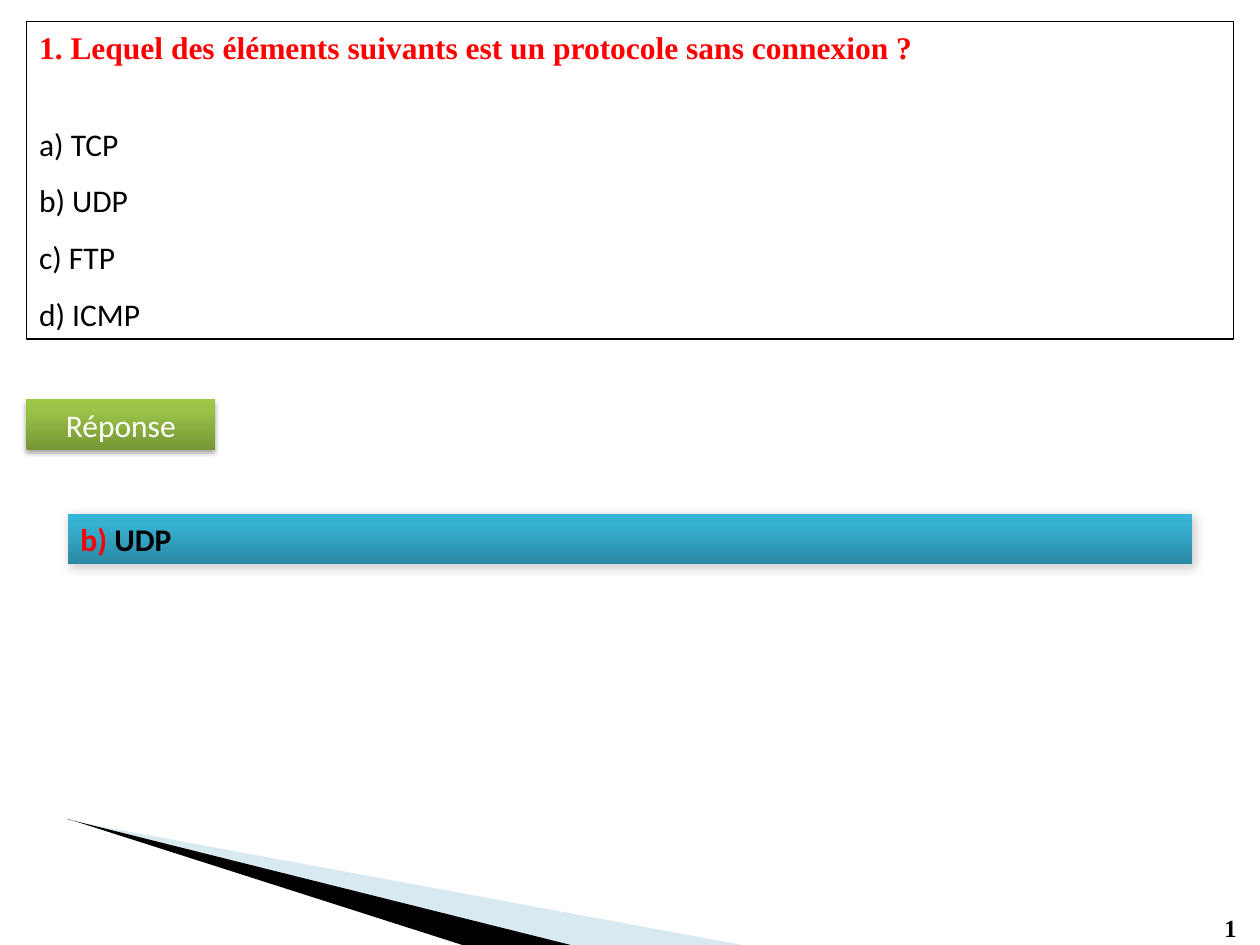
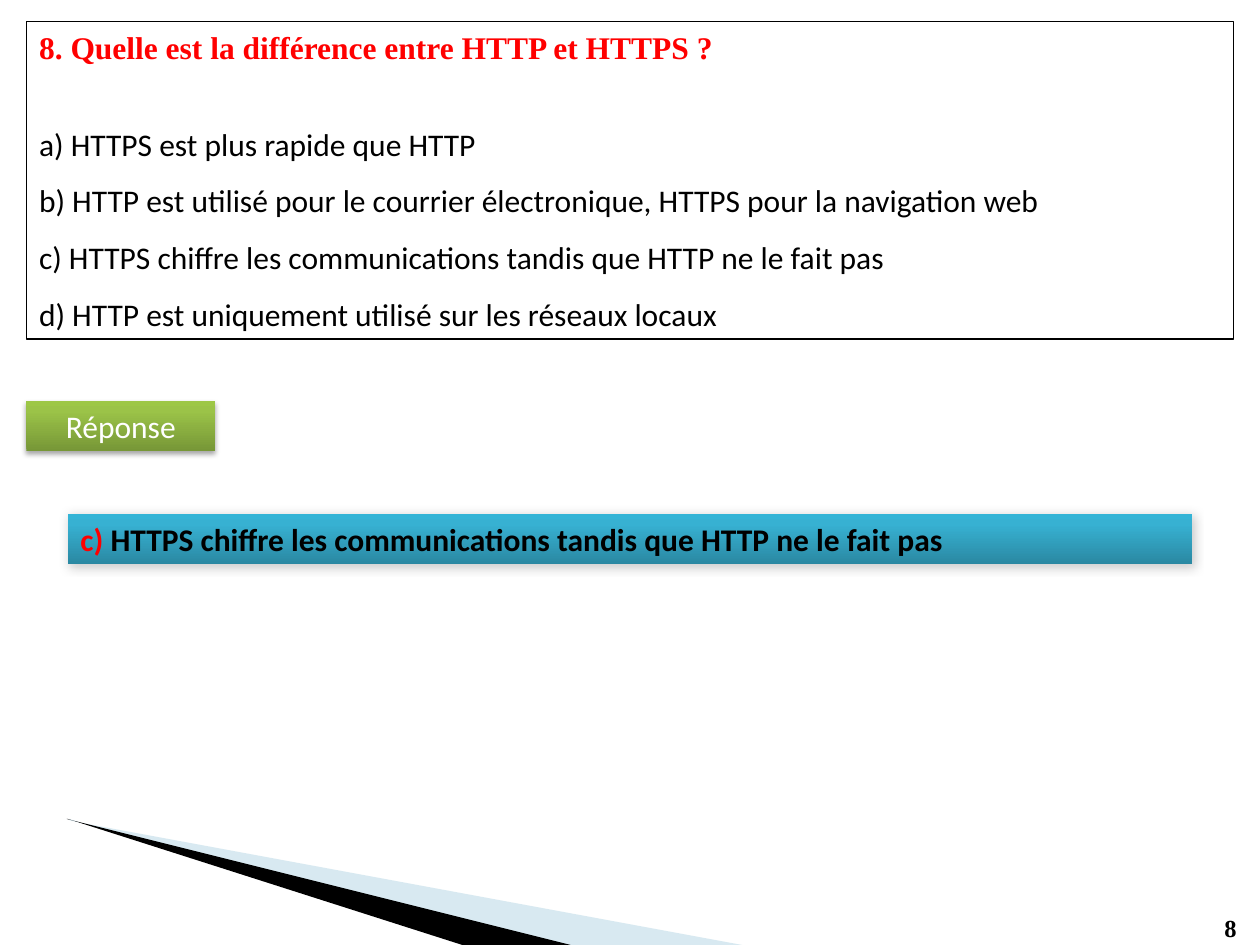
from pptx import Presentation
from pptx.dml.color import RGBColor
from pptx.enum.shapes import MSO_SHAPE as Preset
from pptx.enum.text import MSO_ANCHOR as Anchor, MSO_AUTO_SIZE as AutoSize, PP_ALIGN as Align
from pptx.oxml import parse_xml
from pptx.oxml.ns import nsdecls, qn
from pptx.util import Inches, Pt
from lxml.etree import SubElement

COLORS = {"text": "000000", "accent": "FF0000", "white": "FFFFFF", "band": "9FCADC"}
GREEN = {0: "779737", 80: "9BC348", 100: "9DC746"}
BLUE = {0: "2A88A2", 80: "37B1D2", 100: "34B4D6"}
LABEL_SHADOW = {"alpha": 35, "blur": 3.1, "distance": 1.8, "angle": 90}
ANSWER_SHADOW = {"alpha": 20, "blur": 6, "distance": 1, "angle": 45}
SERIF, SANS = "Times New Roman", "Calibri"

QUESTIONS = [
    {
        "number": 1,
        "question": "Lequel des éléments suivants est un protocole sans connexion ?",
        "options": {"a": "TCP", "b": "UDP", "c": "FTP", "d": "ICMP"},
        "answer": "b",
        "label_top": 3.17,
    },
    {
        "number": 8,
        "question": "Quelle est la différence entre HTTP et HTTPS ?",
        "options": {
            "a": "HTTPS est plus rapide que HTTP",
            "b": "HTTP est utilisé pour le courrier électronique, HTTPS pour la navigation web",
            "c": "HTTPS chiffre les communications tandis que HTTP ne le fait pas",
            "d": "HTTP est uniquement utilisé sur les réseaux locaux",
        },
        "answer": "c",
        "label_top": 3.18,
    },
]


class QuizDeck:
    def __init__(self):
        self.presentation = Presentation()
        self.presentation.slide_width = Inches(10)
        self.presentation.slide_height = Inches(7.5)
        self.layout = self.presentation.slide_layouts[1]
        self.slide = None

    def new_slide(self):
        self.slide = self.presentation.slides.add_slide(self.layout)

    def place(self, shape, left, top, width, height):
        shape.left, shape.top = Inches(left), Inches(top)
        shape.width, shape.height = Inches(width), Inches(height)

    def prepare(self, shape, anchor):
        frame = shape.text_frame
        frame.word_wrap = True
        frame.auto_size = AutoSize.NONE
        frame.vertical_anchor = anchor
        return frame

    def run(self, paragraph, text, color="text", font=SANS, size=18, bold=False):
        run = paragraph.add_run()
        run.text = text
        run.font.name, run.font.size, run.font.bold = font, Pt(size), bold
        run.font.color.rgb = RGBColor.from_string(COLORS[color])

    def layout_band(self, color, contours, alpha=100):
        first, *others = [[(Inches(x), Inches(y)) for x, y in points] for points in contours]
        builder = self.slide.shapes.build_freeform(*first[0])
        builder.add_line_segments(first[1:])
        for points in others:
            builder.move_to(*points[0])
            builder.add_line_segments(points[1:])
        band = builder.convert_to_shape()
        band.shadow.inherit = False
        band.line.fill.background()
        band.fill.solid()
        band.fill.fore_color.rgb = RGBColor.from_string(COLORS[color])
        color_element = band.element.spPr.find(qn("a:solidFill"))[0]
        SubElement(color_element, qn("a:alpha"), val=str(alpha * 1000))
        self.layout.shapes.element.append(band.element)

    def title(self, text):
        title = self.slide.shapes.title
        self.place(title, 0.21, 0.17, 9.58, 0.39)
        paragraph = self.prepare(title, Anchor.TOP).paragraphs[0]
        paragraph.alignment = Align.LEFT
        self.run(paragraph, text, "accent", SERIF, bold=True)

    def option_list(self, options):
        body = self.slide.placeholders[1]
        self.place(body, 0.21, 0.17, 9.58, 2.52)
        body.line.color.rgb = RGBColor.from_string(COLORS["text"])
        body.line.width = Pt(0.75)
        frame = self.prepare(body, Anchor.BOTTOM)
        for index, (letter, text) in enumerate(options.items()):
            paragraph = frame.add_paragraph() if index else frame.paragraphs[0]
            properties = paragraph._p.get_or_add_pPr()
            properties.set("marL", "0")
            properties.set("indent", "0")
            SubElement(properties, qn("a:buNone"))
            paragraph.line_spacing = 1.5
            paragraph.space_before = Pt(0)
            self.run(paragraph, f"{letter}) {text}")

    def gradient_box(self, left, top, width, height, stops, shadow, alignment):
        box = self.slide.shapes.add_shape(
            Preset.RECTANGLE, Inches(left), Inches(top), Inches(width), Inches(height))
        box.line.fill.background()
        box.shadow.inherit = False
        stop_xml = "".join(
            f'<a:gs pos="{position * 1000}"><a:srgbClr val="{color}"/></a:gs>'
            for position, color in stops.items())
        properties = box.element.spPr
        properties.find(qn("a:prstGeom")).addnext(parse_xml(
            f'<a:gradFill {nsdecls("a")} rotWithShape="1"><a:gsLst>{stop_xml}</a:gsLst>'
            '<a:lin ang="16200000" scaled="0"/></a:gradFill>'))
        properties.find(qn("a:effectLst")).append(parse_xml(
            f'<a:outerShdw {nsdecls("a")} blurRad="{Pt(shadow["blur"])}" '
            f'dist="{Pt(shadow["distance"])}" dir="{shadow["angle"] * 60000}" rotWithShape="0">'
            f'<a:srgbClr val="{COLORS["text"]}"><a:alpha val="{shadow["alpha"] * 1000}"/>'
            '</a:srgbClr></a:outerShdw>'))
        paragraph = self.prepare(box, Anchor.MIDDLE).paragraphs[0]
        paragraph.alignment = alignment
        return paragraph

    def page_number(self, number):
        box = self.slide.shapes.add_textbox(Inches(9.62), Inches(7.2), Inches(0.36), Inches(0.34))
        paragraph = self.prepare(box, Anchor.TOP).paragraphs[0]
        self.run(paragraph, str(number), font=SERIF, size=14, bold=True)


def main():
    deck = QuizDeck()
    for index, item in enumerate(QUESTIONS):
        deck.new_slide()
        if index == 0:
            deck.layout_band("band", [
                [(0.64, 6.53), (4.51, 7.5), (5.89, 7.5), (0.64, 6.53)],
                [(0.55, 6.5), (0.55, 6.51), (0.64, 6.53), (0.55, 6.5)],
            ], alpha=40)
            deck.layout_band("text", [
                [(0.53, 6.5), (0.54, 6.5), (3.67, 7.5), (4.53, 7.5), (0.53, 6.5)],
            ])
        deck.page_number(item["number"])
        deck.title(f'{item["number"]}. {item["question"]}')
        deck.option_list(item["options"])
        label = deck.gradient_box(
            0.21, item["label_top"], 1.5, 0.4, GREEN, LABEL_SHADOW, Align.CENTER)
        deck.run(label, "Réponse", "white")
        answer = deck.gradient_box(0.54, 4.08, 8.92, 0.4, BLUE, ANSWER_SHADOW, Align.JUSTIFY)
        deck.run(answer, f'{item["answer"]}) ', "accent", bold=True)
        deck.run(answer, item["options"][item["answer"]], bold=True)
    deck.presentation.save("out.pptx")


if __name__ == "__main__":
    main()
